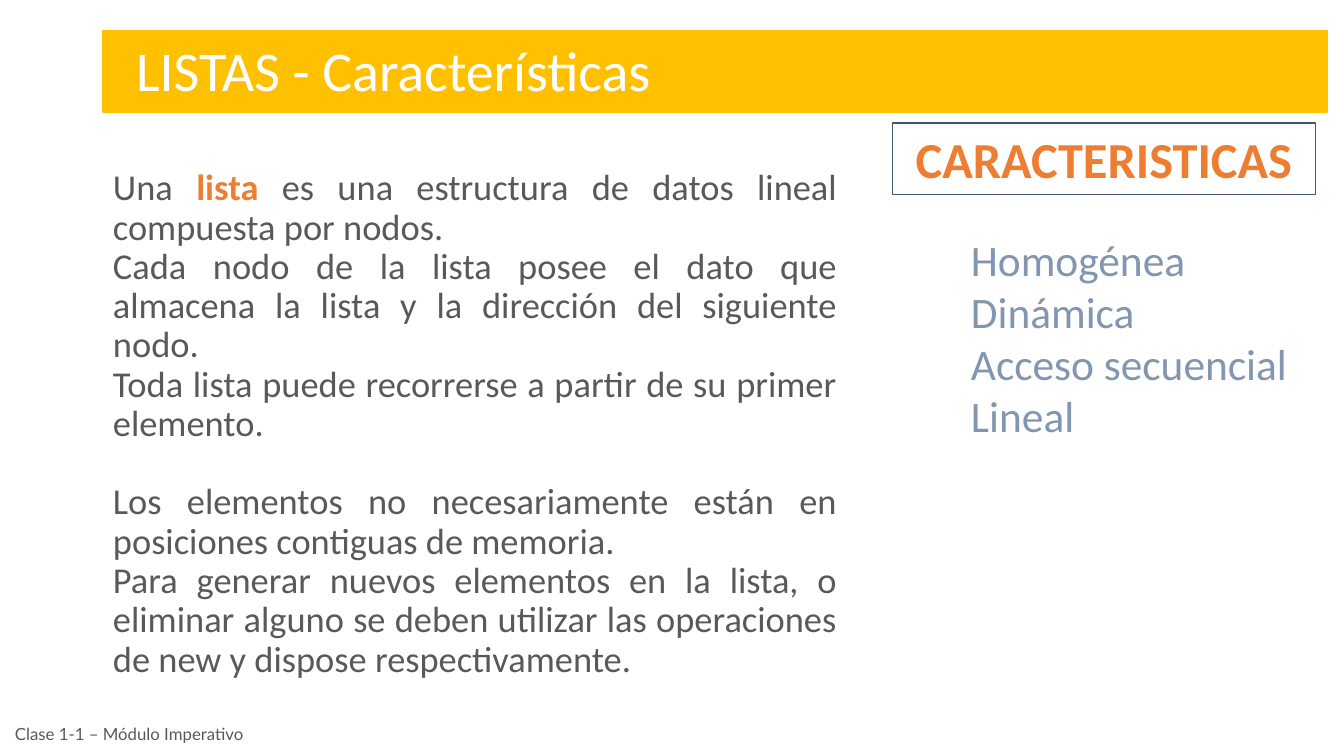
from pptx import Presentation
from pptx.dml.color import RGBColor
from pptx.enum.shapes import MSO_SHAPE as SHAPE
from pptx.enum.text import MSO_ANCHOR as ANCHOR, MSO_AUTO_SIZE as AUTO, PP_ALIGN as ALIGN
from pptx.oxml.ns import qn
from pptx.util import Inches, Pt
from lxml import etree

GOLD = RGBColor(0xFF, 0xC0, 0x00)
WHITE = RGBColor(0xFF, 0xFF, 0xFF)
GREY = RGBColor(0x59, 0x59, 0x59)
ORANGE = RGBColor(0xED, 0x7D, 0x31)
SLATE = RGBColor(0x44, 0x54, 0x6A)
BLUE = RGBColor(0x82, 0x96, 0xB0)

DEFINITION = [
    "Una lista es una estructura de datos lineal compuesta por nodos.",
    "Cada nodo de la lista posee el dato que almacena la lista y la dirección del siguiente nodo.",
    "Toda lista puede recorrerse a partir de su primer elemento.",
    "Los elementos no necesariamente están en posiciones contiguas de memoria.",
    "Para generar nuevos elementos en la lista, o eliminar alguno se deben utilizar "
    "las operaciones de new y dispose respectivamente.",
]
FEATURES = ["Homogénea", "Dinámica", "Acceso secuencial", "Lineal"]


class SlideBuilder:
    font = "Calibri"

    def __init__(self, prs):
        self.s = prs.slides.add_slide(prs.slide_layouts[3])

    def place(self, sp, box):
        sp.left, sp.top, sp.width, sp.height = (Inches(v) for v in box)

    def style(self, r, size, color, bold=False, font=None):
        r.font.name = font or self.font
        r.font.size = Pt(size)
        r.font.bold = bold
        r.font.color.rgb = color

    def set_text(self, sp, lines, size, color, align=ALIGN.LEFT, anchor=ANCHOR.TOP,
                 bold=False, font=None):
        tf = sp.text_frame
        tf.text = "\n".join(lines)
        tf.word_wrap = True
        tf.auto_size = AUTO.NONE
        tf.vertical_anchor = anchor
        for p in tf.paragraphs:
            p.alignment = align
            for r in p.runs:
                self.style(r, size, color, bold, font)
        return tf

    def title(self, text, box, size, color):
        sp = self.s.shapes.title
        self.place(sp, box)
        self.set_text(sp, [text], size, color, anchor=ANCHOR.MIDDLE)

    def body(self, idx, lines, box, size, color, align=ALIGN.LEFT, spacing=1.0):
        sp = self.s.placeholders[idx]
        self.place(sp, box)
        tf = self.set_text(sp, lines, size, color, align)
        for p in tf.paragraphs:
            p.line_spacing = spacing
            p.space_before = Pt(0)
            pPr = p._p.get_or_add_pPr()
            pPr.set("marL", "0")
            pPr.set("indent", "0")
            etree.SubElement(pPr, qn("a:buNone"))
        return tf

    def highlight(self, p, word, size, color, accent):
        before, after = p.text.split(word, 1)
        p.text = before
        self.style(p.runs[0], size, color)
        for text, tint in ((word, accent), (after, color)):
            r = p.add_run()
            r.text = text
            self.style(r, size, tint, bold=tint == accent)

    def rect(self, box, line, weight, fill=None):
        sp = self.s.shapes.add_shape(SHAPE.RECTANGLE, *(Inches(v) for v in box))
        sp.shadow.inherit = False
        if fill is None:
            sp.fill.background()
        else:
            sp.fill.solid()
            sp.fill.fore_color.rgb = fill
        sp.line.color.rgb = line
        sp.line.width = Pt(weight)
        return sp

    def send_to_back(self, sp):
        self.s.shapes._spTree.insert(2, sp._element)

    def label(self, text, box, size, color, font):
        sp = self.s.shapes.add_textbox(*(Inches(v) for v in box))
        self.set_text(sp, [text], size, color, anchor=ANCHOR.MIDDLE, font=font)


def main():
    prs = Presentation()
    prs.slide_width, prs.slide_height = Inches(13.33), Inches(7.5)
    b = SlideBuilder(prs)

    # Title band
    b.send_to_back(b.rect((1.02, 0.3, 12.14, 0.81), GOLD, 1, fill=GOLD))
    b.title("LISTAS - Características", (1.25, 0.3, 6.32, 0.77), 40, WHITE)

    # Definition, with a one-line gap before the second group
    tf = b.body(1, DEFINITION, (1.02, 1.63, 7.39, 5.42), 26, GREY, ALIGN.JUSTIFY, 0.9)
    b.highlight(tf.paragraphs[0], "lista", 26, GREY, ORANGE)
    tf.paragraphs[3].space_before = Pt(28)

    # Features
    heading = b.rect((8.85, 1.22, 4.2, 0.71), SLATE, 0.75)
    b.set_text(heading, ["CARACTERISTICAS"], 36, ORANGE, ALIGN.CENTER, bold=True)
    b.body(2, FEATURES, (9.53, 2.26, 3.52, 2.19), 31, BLUE)

    # Footer
    b.label("Clase 1-1 – Módulo Imperativo", (0.05, 7.05, 3.19, 0.45), 12, GREY, "Lato")

    prs.save("out.pptx")


if __name__ == "__main__":
    main()
